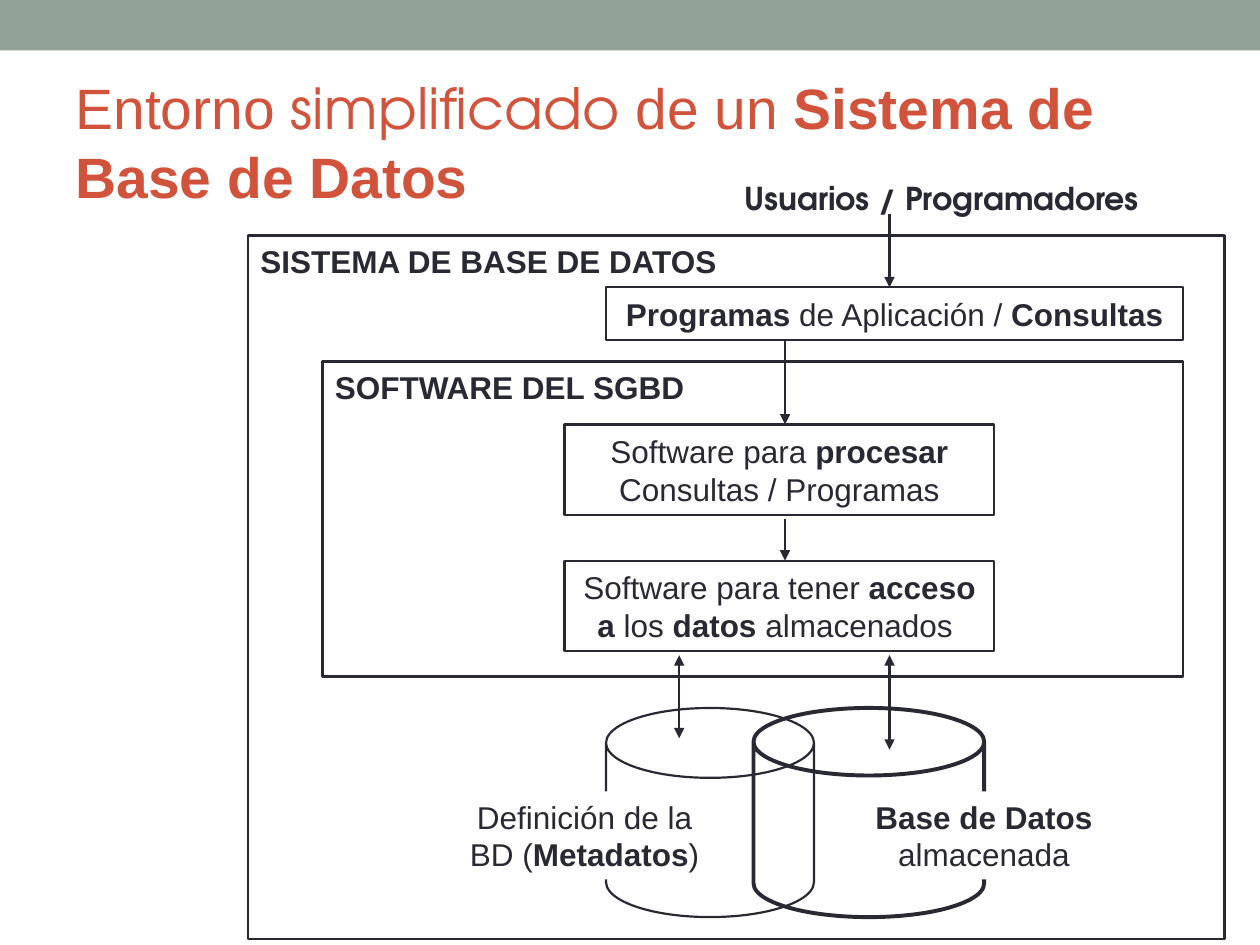
from collections import namedtuple

from lxml import etree
from pptx import Presentation
from pptx.dml.color import RGBColor
from pptx.enum import shapes, text
from pptx.oxml.ns import qn
from pptx.util import Pt

SAGE = RGBColor(0x93, 0xA2, 0x99)
RUST = RGBColor(0xD2, 0x53, 0x3C)
INK = RGBColor(0x29, 0x29, 0x34)
WHITE = RGBColor(0xFF, 0xFF, 0xFF)
SANS, ROUND = "Arial", "TeX Gyre Adventor"
THIN, THICK = 1.25, 2.25
KIND = shapes.MSO_SHAPE
CENTER, LEFT = text.PP_ALIGN.CENTER, text.PP_ALIGN.LEFT


class Box(namedtuple("Box", "left top width height")):
    def inner(self, left, top, width, height):
        """Return a box whose corner is given relative to this one."""
        return Box(self.left + left, self.top + top, width, height)

    def points(self):
        return [Pt(value) for value in self]


def write(frame, content, align, size=18, color=INK, font=SANS):
    """Fill a frame with one paragraph; parts between ** marks are bold."""
    frame.word_wrap = True
    para = frame.paragraphs[0]
    para.alignment = align
    for index, part in enumerate(content.split("**")):
        if part:
            span = para.add_run()
            span.text = part
            span.font.name = font
            span.font.size = Pt(size)
            span.font.bold = index % 2 == 1
            span.font.color.rgb = color


def add_shape(page, box, kind=KIND.RECTANGLE, fill=None, line=None):
    shape = page.shapes.add_shape(kind, *box.points())
    shape.shadow.inherit = False
    if fill is None:
        shape.fill.background()
    else:
        shape.fill.solid()
        shape.fill.fore_color.rgb = fill
    if line is None:
        shape.line.fill.background()
    else:
        shape.line.color.rgb = INK
        shape.line.width = Pt(line)
    return shape


def add_block(page, box, content, fill=None, line=None):
    shape = add_shape(page, box, fill=fill, line=line)
    shape.text_frame.vertical_anchor = text.MSO_ANCHOR.MIDDLE
    write(shape.text_frame, content, CENTER)


def add_caption(page, box, content, align=LEFT, font=SANS):
    caption = page.shapes.add_textbox(*box.points())
    write(caption.text_frame, content, align, font=font)


def add_arrow(page, x, top, bottom, both_ends=False):
    arrow = page.shapes.add_connector(
        shapes.MSO_CONNECTOR.STRAIGHT, Pt(x), Pt(top), Pt(x), Pt(bottom))
    arrow.line.color.rgb = INK
    arrow.line.width = Pt(THIN)
    outline = arrow.line._get_or_add_ln()
    for end in ("a:headEnd", "a:tailEnd") if both_ends else ("a:tailEnd",):
        etree.SubElement(outline, qn(end), type="triangle")
    etree.SubElement(arrow._element.spPr, qn("a:effectLst"))


def add_heading(page, box):
    title = page.shapes.title
    title.left, title.top, title.width, title.height = box.points()
    frame = title.text_frame
    frame.auto_size = text.MSO_AUTO_SIZE.NONE
    frame.vertical_anchor = text.MSO_ANCHOR.MIDDLE
    write(frame, "Entorno simplificado de un** Sistema de Base de Datos**",
          LEFT, 32.5, RUST)
    plain = frame.paragraphs[0].runs[0]
    first, word, rest = plain.text.partition("simplificado")
    plain.text = first
    bold = frame.paragraphs[0].runs[1]
    bold_text = bold.text
    bold.text = ""
    bold._r.getparent().remove(bold._r)
    write(frame, f"{word}", LEFT, 32.5, RUST, ROUND)
    write(frame, f"{rest}**{bold_text}**", LEFT, 32.5, RUST)


def add_storage(page, box):
    """Draw the two overlapping cylinders and their labels."""
    cylinders = ((90, 118.8, 0.336, THIN), (174.3, 131.8, 0.323, THICK))
    for left, width, rim, line in cylinders:
        can = add_shape(page, box.inner(left, 0, width, box.height),
                        KIND.CAN, line=line)
        can.adjustments[0] = rim
    labels = ((0, 155.5, "Definición de la BD (**Metadatos**)"),
              (234, 144, "**Base de Datos** almacenada"))
    for left, width, content in labels:
        add_block(page, box.inner(left, 47.6, width, 50.4), content, WHITE)
    for x, bottom in ((131.8, 17.3), (252, 23.8)):
        add_arrow(page, box.left + x, box.top - 30.2, box.top + bottom, True)


def add_manager(page, box):
    """Draw the DBMS software frame with its two stacked modules."""
    add_shape(page, box, line=THIN)
    add_caption(page, box.inner(0, 0, 216, 28.8), "**SOFTWARE DEL SGBD**")
    modules = (
        (36, "Software para **procesar** Consultas / Programas"),
        (113.8, "Software para tener **acceso a** los **datos** almacenados "))
    for top, content in modules:
        add_block(page, box.inner(138.3, top, 245.5, 51.8), content, line=THIN)
    for start, end in ((-12.2, 36), (90, 113.8)):
        add_arrow(page, box.left + 264.3, box.top + start, box.top + end)


def add_system(page, box):
    """Draw the whole database system and the users above it."""
    add_storage(page, box.inner(114.5, 270, 378, 119.5))
    add_manager(page, box.inner(42.5, 72, 491.8, 180))
    add_block(page, box.inner(204.5, 29.6, 329.8, 30.2),
              "**Programas** de Aplicación / **Consultas**", line=THIN)
    add_shape(page, box, line=THIN)
    add_caption(page, box.inner(0, 0, 288, 28.8),
                "**SISTEMA DE BASE DE DATOS**")
    add_caption(page, box.inner(264.3, -36, 264.2, 28.8),
                "**Usuarios / Programadores**", CENTER, ROUND)
    add_arrow(page, box.left + 366.5, box.top - 12.2, box.top + 29.6)


def main():
    deck = Presentation()
    deck.slide_width, deck.slide_height = Pt(720), Pt(540)
    page = deck.slides.add_slide(deck.slide_layouts.get_by_name("Title Only"))
    add_shape(page, Box(0, 0, 720, 28.8), fill=SAGE)
    add_heading(page, Box(36, 41.8, 648, 77.8))
    add_system(page, Box(141.8, 134.6, 558, 401.8))
    deck.save("out.pptx")


if __name__ == "__main__":
    main()
